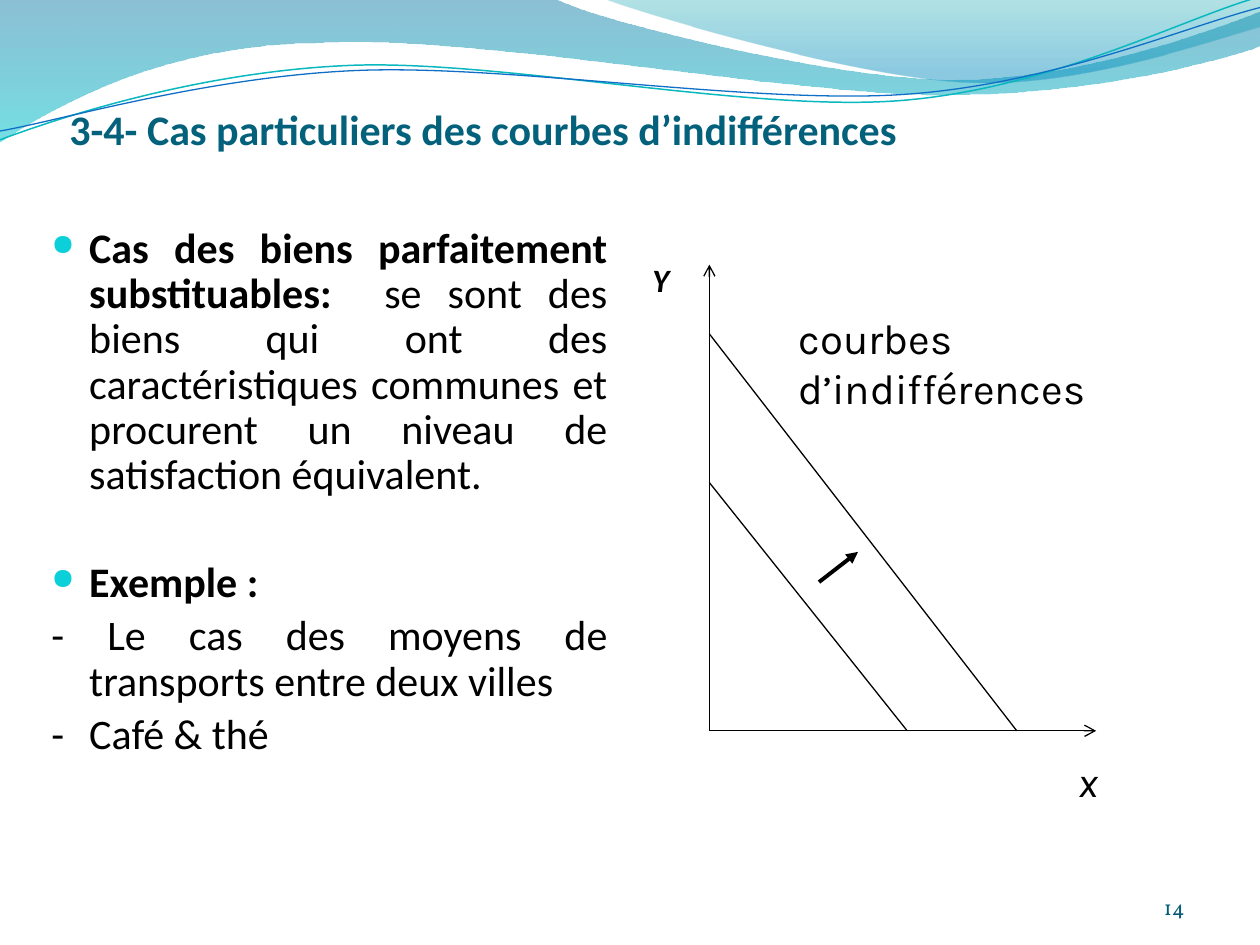
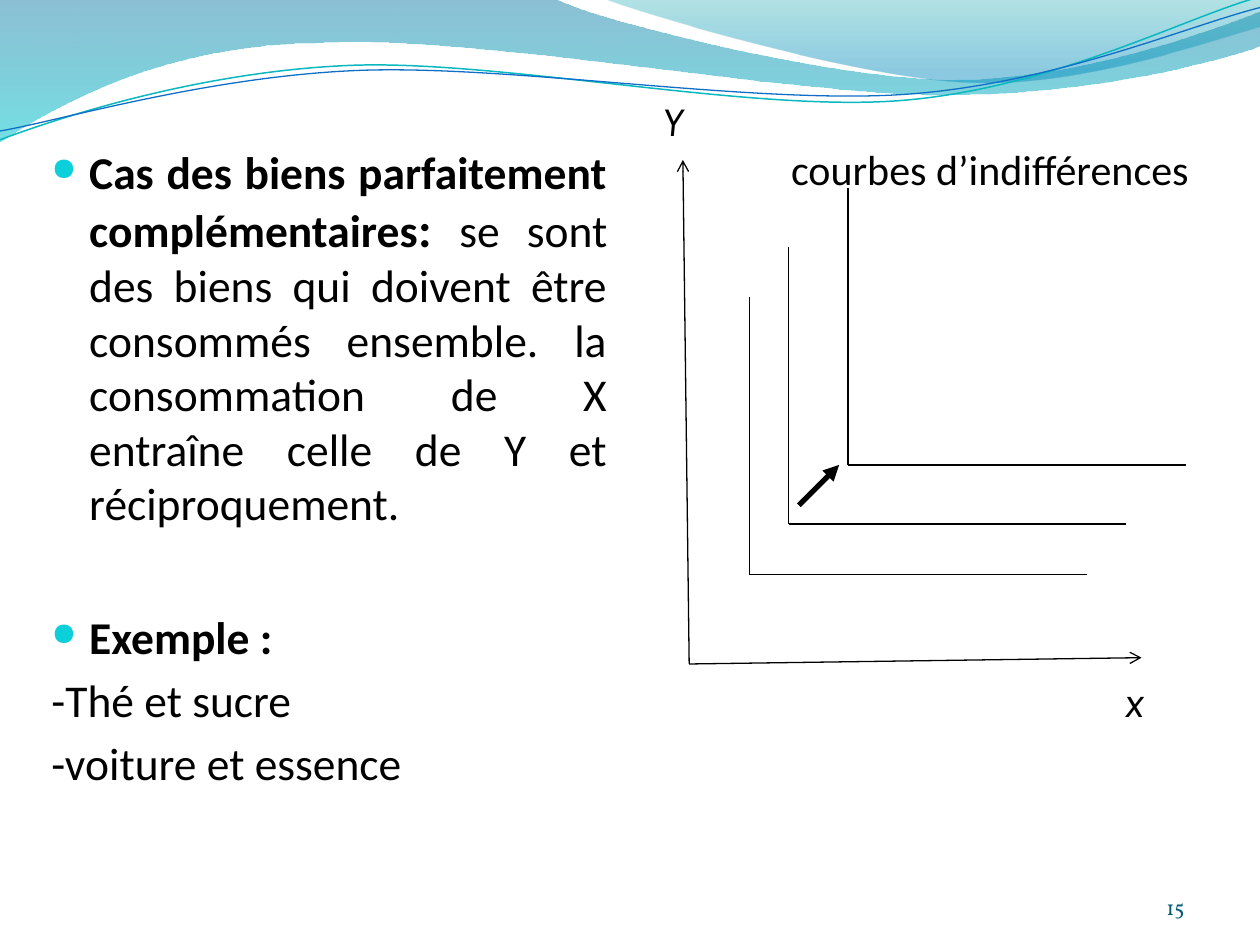
from lxml import etree
from pptx import Presentation
from pptx import util as u
from pptx.dml import color
from pptx.enum import shapes, text
from pptx.oxml import ns

Inches, Pt = u.Inches, u.Pt

COLORS = {
    "ink": "000000", "title": "04617B", "number": "045D75", "bullet": "0BD0D9",
    "deep": "0074A1", "aqua": "00C6CF", "teal": "00A1A9", "sky": "008BBF",
    "teal line": "0AB8BF", "blue line": "0F6FC6",
}

# Wave outlines: a start point, then line ends (2 numbers) or cubic curves (6 numbers)
WIDE_WAVE = [(0, -0.01), (4.4, -0.01), (4.76, 0.17, 6.64, 0.63, 7.58, 0.63),
             (8.53, 0.63, 9.58, 0.26, 10, 0.09), (10.01, 0.36),
             (9.83, 0.44, 8.7, 0.76, 7.46, 0.75), (6.22, 0.75, 3.82, 0.28, 2.57, 0.34),
             (1.29, 0.35, 0.46, 0.83, -0.01, 1.13), (0, -0.01)]
RIGHT_WAVE = [(4.79, -0.01), (5.09, 0.11, 6.82, 0.62, 7.69, 0.65),
              (8.56, 0.69, 9.61, 0.32, 10, 0.21), (10, 0), (4.79, -0.01)]
TEAL_CURVE = [(0, 1.11), (0.48, 0.93, 1.58, 0.57, 2.77, 0.52),
              (3.95, 0.47, 5.93, 0.89, 7.13, 0.8), (8.33, 0.71, 9.38, 0.15, 9.98, -0.02)]
BLUE_CURVE = [(0, 1.04), (0.47, 0.96, 1.64, 0.61, 2.83, 0.56),
              (4.03, 0.51, 5.97, 0.83, 7.17, 0.75), (8.36, 0.67, 9.41, 0.21, 10, 0.06)]


def rgb(name):
    return color.RGBColor.from_string(COLORS[name])


def add_xml(parent, tag, **attributes):
    return etree.SubElement(parent, ns.qn(tag), **attributes)


def bend(shape, outline):
    """Merge each three segments that stand for a cubic curve into one."""
    segments = iter(list(shape._element.iter(ns.qn("a:lnTo"))))
    for part in outline[1:]:
        first = next(segments)
        if len(part) == 6:
            first.tag = ns.qn("a:cubicBezTo")
            for _ in range(2):
                extra = next(segments)
                first.append(extra[0])
                extra.getparent().remove(extra)


class Lesson:
    def __init__(self):
        self.deck = Presentation()
        self.deck.slide_width, self.deck.slide_height = Inches(10), Inches(7.5)
        self.page = None

    def new_page(self, number, title=None):
        layout = self.deck.slide_layouts[5 if title else 6]
        self.page = self.deck.slides.add_slide(layout)
        self.waves()
        if title:
            self.title(title)
        box = self.text_box(7.17, 6.83, 2.33, 0.52)
        box.text_frame.vertical_anchor = text.MSO_ANCHOR.BOTTOM
        para = box.text_frame.paragraphs[0]
        para.alignment = text.PP_ALIGN.RIGHT
        self.span(para, str(number), 12, "Vollkorn", "number")

    # Header waves
    def waves(self):
        self.band(WIDE_WAVE, [(0, "deep", 45), (1, "aqua", 55)])
        self.band(RIGHT_WAVE, [(0, "teal", 30), (0.8, "sky", 45)])
        for outline, name, width in ((TEAL_CURVE, "teal line", 0.85),
                                     (BLUE_CURVE, "blue line", 0.75)):
            curve = self.outline(outline, False)
            curve.fill.background()
            curve.line.color.rgb = rgb(name)
            curve.line.width = Pt(width)

    def outline(self, outline, close):
        points = [(Inches(part[i]), Inches(part[i + 1]))
                  for part in outline for i in range(0, len(part), 2)]
        builder = self.page.shapes.build_freeform(*points[0], scale=1.0)
        builder.add_line_segments(points[1:], close=close)
        shape = builder.convert_to_shape()
        bend(shape, outline)
        shape.shadow.inherit = False
        return shape

    def band(self, outline, stops):
        shape = self.outline(outline, True)
        shape.line.fill.background()
        shape.fill.gradient()
        shape.fill.gradient_angle = 270
        for stop, (position, name, _) in zip(shape.fill.gradient_stops, stops):
            stop.position = position
            stop.color.rgb = rgb(name)
        tints = shape._element.spPr.iter(ns.qn("a:srgbClr"))
        for tint, (_, _, opacity) in zip(tints, stops):
            add_xml(tint, "a:alpha", val=str(opacity * 1000))

    # Text
    def title(self, words):
        box = self.page.shapes.title
        box.left, box.top, box.width, box.height = map(Inches, (0.55, 0.62, 8.91, 0.6))
        frame = box.text_frame
        frame.margin_left = frame.margin_right = frame.margin_bottom = 0
        frame.margin_top = Inches(0.05)
        frame.vertical_anchor = text.MSO_ANCHOR.BOTTOM
        para = frame.paragraphs[0]
        para.alignment = text.PP_ALIGN.LEFT
        self.span(para, words, 24, ink="title", bold=True)

    def text_box(self, left, top, width, height, wrap=True):
        box = self.page.shapes.add_textbox(*map(Inches, (left, top, width, height)))
        box.text_frame.word_wrap = wrap
        return box

    def span(self, para, words, size, font="Calibri", ink="ink", bold=False, italic=False):
        span = para.add_run()
        span.text = words
        span.font.name, span.font.size = font, Pt(size)
        span.font.bold, span.font.italic = bold, italic
        span.font.color.rgb = rgb(ink)
        return span

    def label(self, words, left, top, width, height, size=24, font="Karla",
              wrap=False, bold=False, italic=False):
        box = self.text_box(left, top, width, height, wrap)
        return self.span(box.text_frame.paragraphs[0], words, size, font,
                         bold=bold, italic=italic)

    def body(self, top, height, paragraphs, line_spacing):
        """Each paragraph: (bulleted, space before, [(words, size, bold), ...])."""
        frame = self.text_box(0.31, top, 4.61, height).text_frame
        for index, (bulleted, before, spans) in enumerate(paragraphs):
            para = frame.add_paragraph() if index else frame.paragraphs[0]
            para.alignment = text.PP_ALIGN.JUSTIFY
            para.line_spacing = line_spacing
            para.space_before = Pt(before)
            props = para._p.get_or_add_pPr()
            props.set("marL", str(Inches(0.3)))
            props.set("indent", str(Inches(-0.3)))
            if bulleted:
                add_xml(add_xml(props, "a:buClr"), "a:srgbClr", val=COLORS["bullet"])
                add_xml(props, "a:buSzPct", val="70000")
                add_xml(props, "a:buChar", char="●")
            for words, size, bold in spans:
                self.span(para, words, size, bold=bold)

    # Lines
    def line(self, start, end, width=0.75, arrow=None):
        line = self.page.shapes.add_connector(
            shapes.MSO_CONNECTOR.STRAIGHT, *map(Inches, (*start, *end)))
        line.line.color.rgb = rgb("ink")
        line.line.width = Pt(width)
        if arrow:
            add_xml(line.line._get_or_add_ln(), "a:tailEnd", type=arrow)
        add_xml(line._element.spPr, "a:effectLst")

    def axes(self, origin, y_end, x_end):
        for end in (y_end, x_end):
            self.line(origin, end, arrow="arrow")


def substitutes(lesson):
    lesson.new_page(14, "3-4- Cas particuliers des courbes d’indifférences")
    lesson.body(1.75, 4.95, [
        (True, 0, [("Cas des biens parfaitement substituables:  ", 24, True),
                   ("se sont des biens qui ont des caractéristiques communes et "
                    "procurent un niveau de satisfaction équivalent.", 24, False)]),
        (True, 35.5, [("Exemple :", 24, True)]),
        (False, 4.8, [("- Le cas des moyens de transports entre deux villes", 24, False)]),
        (False, 4.8, [("-\tCafé & thé", 24, False)]),
    ], 0.9)

    # Straight indifference curves
    origin = (5.63, 5.8)
    lesson.axes(origin, (5.63, 2.1), (8.7, 5.8))
    for y_cut, x_cut in ((3.83, 7.2), (2.65, 8.07)):
        lesson.line((origin[0], y_cut), (x_cut, origin[1]))
    lesson.line((6.5, 4.62), (6.81, 4.38), 2.25, "triangle")
    y_name = lesson.label("Y", 5.08, 1.72, 0.47, 0.46, 32, "Calibri", True, True, True)
    y_name._r.get_or_add_rPr().set("baseline", "-25000")
    lesson.label("x", 8.46, 5.95, 0.37, 0.51, italic=True)
    lesson.label("courbes d’indifférences", 6.24, 2.43, 2.77, 0.4, wrap=True)


def complements(lesson):
    lesson.new_page(15)
    lesson.body(1.09, 5.39, [
        (True, 0, [("Cas des biens parfaitement complémentaires", 26, True),
                   (": ", 28, True),
                   ("se sont des biens qui doivent être consommés ensemble. la "
                    "consommation de X entraîne celle de Y et réciproquement.", 26, False)]),
        (True, 45, [("Exemple :", 26, True)]),
        (False, 5, [("-Thé et sucre", 26, False)]),
        (False, 5, [("-voiture et essence", 26, False)]),
    ], 1.0)

    # Right-angled indifference curves
    lesson.axes((5.47, 5.27), (5.42, 1.27), (9.06, 5.22))
    for x, y in ((5.95, 4.56), (6.26, 4.16), (6.73, 3.69)):
        lesson.line((x, y - 2.2), (x, y))
        lesson.line((x, y), (x + 2.68, y))
    lesson.line((6.34, 4.01), (6.66, 3.69), 3, "triangle")
    lesson.label("Y", 5.16, 0.7, 0.4, 0.51, italic=True)
    lesson.label("x", 8.83, 5.31, 0.37, 0.51, italic=True)
    lesson.label("courbes d’indifférences", 6.18, 1.09, 3.4, 0.51, font="Calibri")


def main():
    lesson = Lesson()
    substitutes(lesson)
    complements(lesson)
    lesson.deck.save("out.pptx")


if __name__ == "__main__":
    main()
